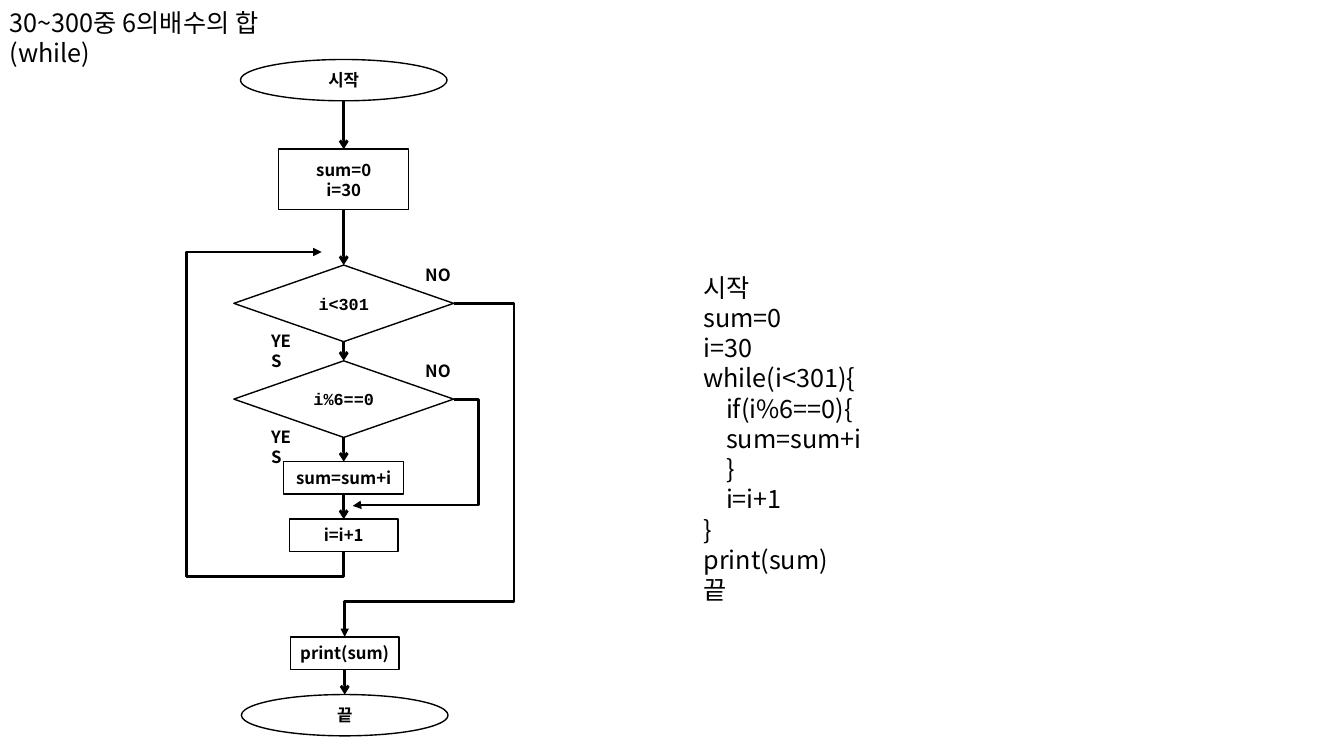
"""Build a flowchart slide for summing the multiples of 6, with its pseudocode."""
from dataclasses import dataclass
from itertools import pairwise

from lxml import etree
from pptx import Presentation
from pptx import util as u
from pptx.dml.color import RGBColor
from pptx.enum import shapes, text
from pptx.oxml.ns import qn

CELL = u.Inches(0.1)
COLUMNS, ROWS = 133.33, 75
SANS, MONO = "Noto Sans CJK KR", "Courier New"
INK = "000000"
OVAL = shapes.MSO_SHAPE.OVAL
PROCESS = shapes.MSO_SHAPE.FLOWCHART_PROCESS
DECISION = shapes.MSO_SHAPE.FLOWCHART_DECISION
Point = tuple[float, float]


@dataclass(frozen=True)
class Step:
    """A flowchart step, placed by its centre column and top row."""
    kind: shapes.MSO_SHAPE
    words: str
    center: float
    top: float
    width: float
    height: float
    font: str = SANS
    falls_through: bool = True

    @property
    def bottom(self) -> float:
        """Return the row of the lower edge."""
        return self.top + self.height


@dataclass(frozen=True)
class Label:
    """A block of plain text on the grid."""
    words: str
    left: float
    top: float
    width: float
    height: float
    size: float = 12
    bold: bool = True


@dataclass(frozen=True)
class Route:
    """A bent arrow: its ends, and the column or row of each turn in order."""
    begin: Point
    turns: tuple[float, ...]
    end: Point
    starts_down: bool = False


STEPS = [
    Step(OVAL, "시작", 34.1, 5.9, 20.5, 4.1),
    Step(PROCESS, "sum=0\ni=30", 34.1, 14.8, 12.9, 6),
    Step(DECISION, "i<301", 34.1, 26.3, 21.8, 7.6, MONO),
    Step(DECISION, "i%6==0", 34.1, 35.8, 21.8, 7.6, MONO),
    Step(PROCESS, "sum=sum+i", 34.1, 45.8, 11.9, 3.2),
    Step(PROCESS, "i=i+1", 34.1, 51.5, 10.8, 3.2, falls_through=False),
    Step(PROCESS, "print(sum)", 34.2, 63.2, 10.8, 3.2),
    Step(OVAL, "끝", 34.2, 68.9, 20.5, 4.1),
]

ROUTES = [
    Route((45, 30.1), (51, 59.7), (34.2, 63.2)),
    Route((45, 39.6), (47.5, 50.1), (35, 50.2)),
    Route((34.1, 54.7), (57.2, 18.5, 25), (31.9, 25), starts_down=True),
]

CODE = """시작
sum=0
i=30
while(i<301){
    if(i%6==0){
    sum=sum+i
    }
    i=i+1
}
print(sum)
끝"""

LABELS = [
    Label("30~300중 6의배수의 합(while)", 0, 0.2, 28.8, 7.1, 18, False),
    Label(CODE, 68.8, 26.5, 39.1, 34.3, 18, False),
    *(Label(words, left, top + 9.5 * row, 4.9, 3)
      for row in range(2)
      for words, left, top in (("YES", 25.9, 32.3), ("NO", 41.2, 25.8))),
]


def grid(cells: float) -> u.Emu:
    """Turn grid cells into a length."""
    return u.Emu(round(cells * CELL))


def color(value: str) -> RGBColor:
    """Turn a hex string into a colour."""
    return RGBColor.from_string(value)


def write(frame, words: str, *, size: float = 12, font: str = SANS,
          bold: bool = False, align=text.PP_ALIGN.LEFT) -> None:
    """Fill a text frame with one formatted paragraph per line."""
    frame.word_wrap = True
    for index, line in enumerate(words.split("\n")):
        paragraph = frame.paragraphs[0] if index == 0 else frame.add_paragraph()
        paragraph.alignment = align
        run = paragraph.add_run()
        run.text = line
        run.font.size = u.Pt(size)
        run.font.bold = bold
        run.font.color.rgb = color(INK)
        run.font.name = font
        properties = run.font._element
        etree.SubElement(properties, qn("a:ea"), typeface=font)


def draw_step(slide, step: Step) -> None:
    """Draw one outlined step with centred text."""
    shape = slide.shapes.add_shape(
        step.kind, grid(step.center - step.width / 2), grid(step.top),
        grid(step.width), grid(step.height))
    shape.shadow.inherit = False
    shape.fill.background()
    shape.line.color.rgb = color(INK)
    shape.line.width = u.Pt(1)
    shape.text_frame.vertical_anchor = text.MSO_ANCHOR.MIDDLE
    write(shape.text_frame, step.words, font=step.font, bold=True,
          align=text.PP_ALIGN.CENTER)


def draw_label(slide, label: Label) -> None:
    """Draw one text box."""
    box = slide.shapes.add_textbox(
        grid(label.left), grid(label.top), grid(label.width), grid(label.height))
    write(box.text_frame, label.words, size=label.size, bold=label.bold)
    box.text_frame.auto_size = text.MSO_AUTO_SIZE.SHAPE_TO_FIT_TEXT


def draw_arrow(slide, begin: Point, end: Point, head: str = "arrow",
               kind=shapes.MSO_CONNECTOR.STRAIGHT):
    """Draw a connector with an arrowhead at its end."""
    connector = slide.shapes.add_connector(kind, *map(grid, (*begin, *end)))
    connector.line.color.rgb = color(INK)
    connector.line.width = u.Pt(2)
    etree.SubElement(connector.line._get_or_add_ln(), qn("a:tailEnd"), type=head)
    etree.SubElement(connector._element.spPr, qn("a:effectLst"))
    return connector


def draw_route(slide, route: Route) -> None:
    """Draw a bent arrow, turning its frame by 90 degrees if it starts down."""
    begin, end = route.begin, route.end
    if route.starts_down:
        middle_x, middle_y = (begin[0] + end[0]) / 2, (begin[1] + end[1]) / 2
        begin, end = (
            (middle_x + y - middle_y, middle_y - x + middle_x) for x, y in (begin, end))
    connector = draw_arrow(slide, begin, end, "triangle", shapes.MSO_CONNECTOR.ELBOW)
    properties = connector._element.spPr
    if route.starts_down:
        properties.find(qn("a:xfrm")).set("rot", "5400000")
    geometry = properties.find(qn("a:prstGeom"))
    geometry.set("prst", f"bentConnector{len(route.turns) + 2}")
    adjustments = geometry.find(qn("a:avLst"))
    for index, turn in enumerate(route.turns):
        axis = (index + route.starts_down) % 2
        start, stop = route.begin[axis], route.end[axis]
        share = round((turn - start) / (stop - start) * 100000)
        etree.SubElement(adjustments, qn("a:gd"), name=f"adj{index + 1}",
                         fmla=f"val {share}")


def main() -> None:
    """Build and save the slide."""
    presentation = Presentation()
    presentation.slide_width, presentation.slide_height = grid(COLUMNS), grid(ROWS)
    slide = presentation.slides.add_slide(presentation.slide_layouts[6])
    for label in LABELS:
        draw_label(slide, label)
    for step in STEPS:
        draw_step(slide, step)
    for step, following in pairwise(STEPS):
        if step.falls_through:
            draw_arrow(slide, (step.center, step.bottom), (step.center, following.top))
    for route in ROUTES:
        draw_route(slide, route)
    presentation.save("out.pptx")


if __name__ == "__main__":
    main()
